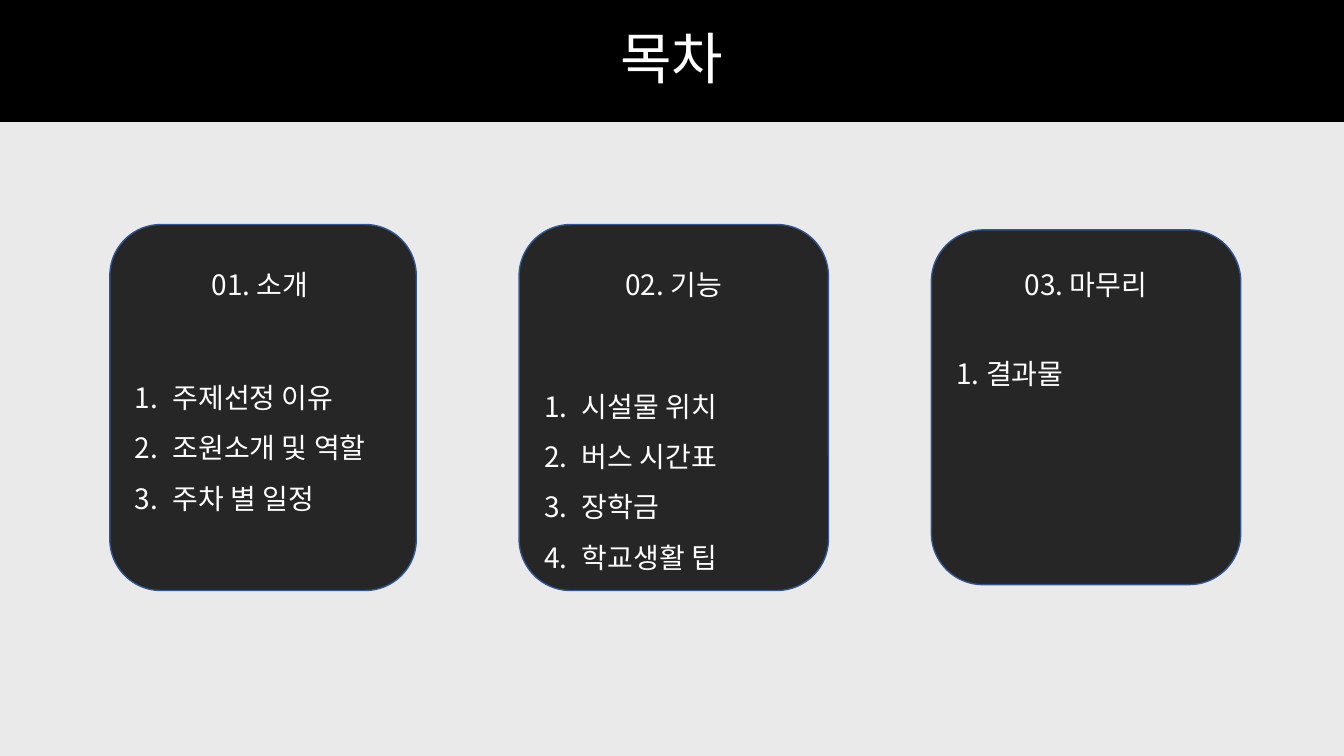
"""Build the contents slide: a title bar and three agenda cards."""
from dataclasses import dataclass

from pptx import Presentation
from pptx import util as u
from pptx.dml.color import RGBColor
from pptx.enum import shapes, text
from pptx.oxml import ns, xmlchemy

FONT = "Noto Sans CJK KR"
WHITE = RGBColor(0xFF, 0xFF, 0xFF)
BLACK = RGBColor(0x00, 0x00, 0x00)
CHARCOAL = RGBColor(0x26, 0x26, 0x26)
BLUE = RGBColor(0x32, 0x54, 0x91)
PAPER = RGBColor(0xEB, 0xEA, 0xEA)

HEADING_TOP = 187.2
HEADING_HEIGHT = 31.7
NUMBER_INDENT = 27


@dataclass(frozen=True)
class Card:
    """One agenda card, with lengths in points."""
    heading: str
    items: tuple[str, ...]
    left: float
    top: float
    width: float
    height: float
    list_inset: float
    heading_shift: float = 0
    numbered: bool = True


CARDS = (
    Card("01. 소개", ("주제선정 이유", "조원소개 및 역할", "주차 별 일정"),
         78.5, 160.4, 218.9, 261.4, 88.8, heading_shift=-2.2),
    Card("02. 기능", ("시설물 위치", "버스 시간표", "장학금", "학교생활 팁"),
         370.8, 160.4, 221, 261.4, 94.8),
    Card("03. 마무리", ("1. 결과물",),
         665.3, 164.2, 221, 253.4, 79.3, numbered=False),
)


def apply_format(target, values: dict) -> None:
    """Set each attribute named in values."""
    for name, value in values.items():
        setattr(target, name, value)


def write_line(para, words: str, size: float, align, spacing: float = 1) -> None:
    """Fill a paragraph with one white run."""
    apply_format(para, {"alignment": align, "line_spacing": spacing})
    span = para.add_run()
    span.text = words
    apply_format(span.font, {"name": FONT, "size": u.Pt(size)})
    span.font.color.rgb = WHITE
    east_asian = xmlchemy.OxmlElement("a:ea")
    east_asian.set("typeface", FONT)
    span.font._element.find(ns.qn("a:latin")).addnext(east_asian)


def number_line(para) -> None:
    """Give a paragraph an automatic number and a hanging indent."""
    properties = para._p.get_or_add_pPr()
    properties.set("marL", str(u.Pt(NUMBER_INDENT)))
    properties.set("indent", str(u.Pt(-NUMBER_INDENT)))
    marker = xmlchemy.OxmlElement("a:buAutoNum")
    marker.set("type", "arabicPeriod")
    properties.append(marker)


def draw_title(page, words: str, width: float) -> None:
    """Turn the title placeholder into the black top bar."""
    title = page.shapes.title
    apply_format(title, {"left": u.Pt(0), "top": u.Pt(0),
                         "width": u.Pt(width), "height": u.Pt(87.1)})
    title.fill.solid()
    title.fill.fore_color.rgb = BLACK
    apply_format(title.text_frame, {"vertical_anchor": text.MSO_ANCHOR.MIDDLE,
                                    "auto_size": text.MSO_AUTO_SIZE.NONE})
    write_line(title.text_frame.paragraphs[0], words, 40, text.PP_ALIGN.CENTER, 0.9)


def draw_card(page, card: Card) -> None:
    """Draw a rounded card with its list and heading as a group."""
    group = page.shapes.add_group_shape()
    box = group.shapes.add_shape(
        shapes.MSO_SHAPE.ROUNDED_RECTANGLE,
        u.Pt(card.left), u.Pt(card.top), u.Pt(card.width), u.Pt(card.height))
    box.shadow.inherit = False
    box.fill.solid()
    box.fill.fore_color.rgb = CHARCOAL
    box.line.color.rgb = BLUE
    box.line.width = u.Pt(1)

    frame = box.text_frame
    apply_format(frame, {"word_wrap": True, "margin_top": u.Pt(card.list_inset),
                         "vertical_anchor": text.MSO_ANCHOR.TOP})
    for index, item in enumerate(card.items):
        para = frame.add_paragraph() if index else frame.paragraphs[0]
        write_line(para, item, 20, text.PP_ALIGN.LEFT, 1.5 if card.numbered else 1)
        if card.numbered:
            number_line(para)

    heading = group.shapes.add_textbox(
        u.Pt(card.left + card.heading_shift), u.Pt(HEADING_TOP),
        u.Pt(card.width), u.Pt(HEADING_HEIGHT))
    apply_format(heading.text_frame, {"word_wrap": True,
                                      "auto_size": text.MSO_AUTO_SIZE.SHAPE_TO_FIT_TEXT})
    write_line(heading.text_frame.paragraphs[0], card.heading, 20, text.PP_ALIGN.CENTER)


def main() -> None:
    """Create the deck and save it."""
    deck = Presentation()
    apply_format(deck, {"slide_width": u.Pt(960), "slide_height": u.Pt(540)})
    page = deck.slides.add_slide(deck.slide_layouts.get_by_name("Title Only"))
    page.background.fill.solid()
    page.background.fill.fore_color.rgb = PAPER
    draw_title(page, "목차", 960)
    for card in CARDS:
        draw_card(page, card)
    deck.save("out.pptx")


if __name__ == "__main__":
    main()
